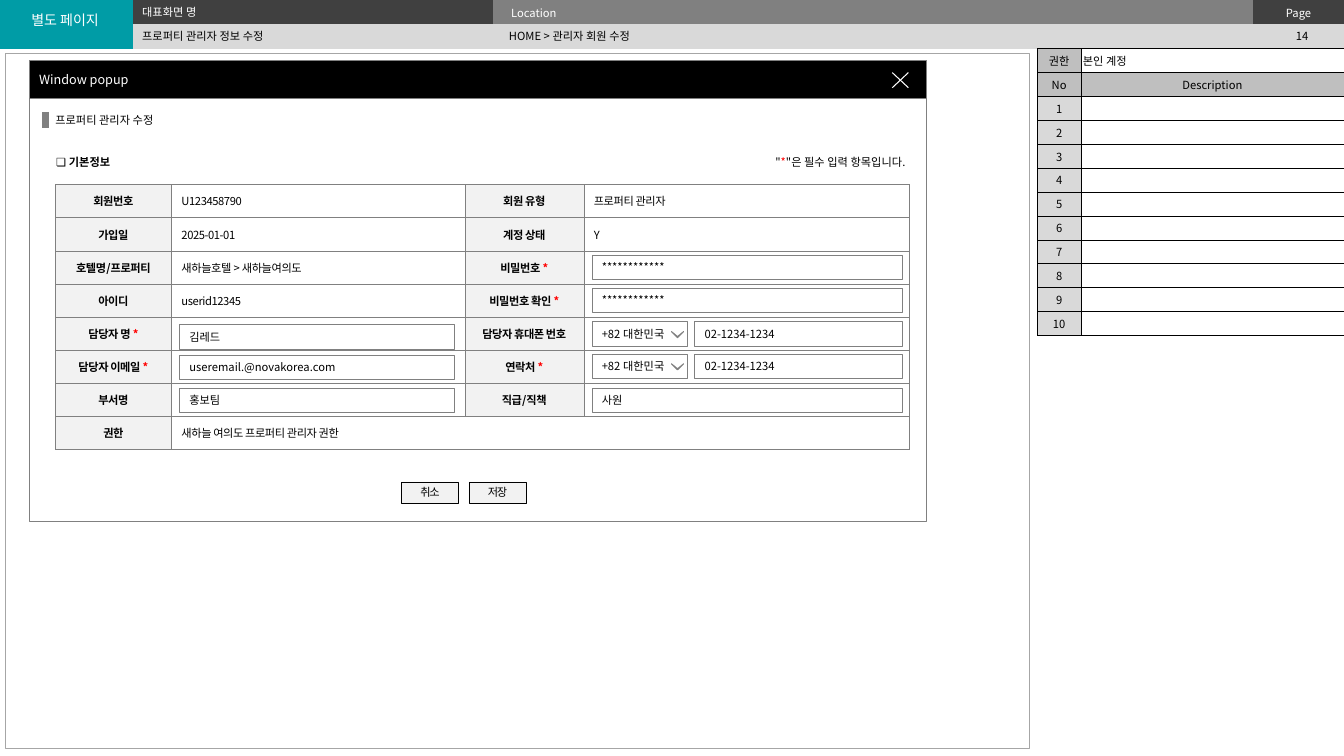
from lxml.etree import SubElement
from pptx import Presentation
from pptx.dml.color import RGBColor
from pptx.enum.shapes import MSO_CONNECTOR, MSO_SHAPE
from pptx.enum.text import MSO_ANCHOR as ANCHOR, PP_ALIGN as ALIGN
from pptx.oxml.ns import qn
from pptx.util import Inches, Pt

FONT = "Noto Sans CJK KR"
NO_STYLE = "{2D5ABB26-0587-4C30-8999-92F81FD0307C}"
BLACK, WHITE, RED, GRAY = "000000", "FFFFFF", "FF0000", "808080"
DARK, SILVER, LIGHT, PALE = "404040", "BFBFBF", "D9D9D9", "F2F2F2"


def write(frame, text, size=8, color=BLACK, bold=False, align=ALIGN.LEFT,
          spacing=0, star=False):
    """Fill the first paragraph; with star, its first asterisk turns red."""
    paragraph = frame.paragraphs[0]
    paragraph.alignment = align
    paragraph.space_before = Pt(0)
    if not text:
        paragraph._p.get_or_add_endParaRPr().set("sz", str(size * 100))
    for part in filter(None, text.partition("*") if star else [text]):
        run = paragraph.add_run()
        run.text = part
        font = run.font
        font.name, font.size, font.bold = FONT, Pt(size), bold
        font.color.rgb = RGBColor.from_string(RED if star and part == "*" else color)
        properties = run._r.get_or_add_rPr()
        SubElement(properties, qn("a:ea")).set("typeface", FONT)
        if spacing:
            properties.set("spc", str(round(spacing * 100)))


def paint(shape, fill, line, width):
    shape.shadow.inherit = False
    if fill:
        shape.fill.solid()
        shape.fill.fore_color.rgb = RGBColor.from_string(fill)
    else:
        shape.fill.background()
    shape.line.color.rgb = RGBColor.from_string(line)
    shape.line.width = Pt(width)


presentation = Presentation()
presentation.slide_width, presentation.slide_height = Inches(13.33), Inches(7.5)
slide = presentation.slides.add_slide(presentation.slide_layouts[1])
shapes = slide.shapes

# Page frame, popup window and its buttons
middle = dict(align=ALIGN.CENTER)
for left, top, width, height, fill, line, weight, text, style in [
    (0.05, 0.53, 10.16, 6.89, None, "A6A6A6", 0.25, "", {}),
    (0.29, 0.98, 8.9, 4.19, WHITE, GRAY, 0.5, "", {}),
    (0.29, 0.6, 8.9, 0.38, BLACK, GRAY, 0.5, "Window popup", dict(size=9, color=WHITE)),
    (3.98, 4.78, 0.57, 0.21, PALE, BLACK, 0.25, "취소", dict(spacing=-0.9, **middle)),
    (4.65, 4.78, 0.57, 0.21, PALE, BLACK, 0.25, "저장", dict(spacing=-0.9, **middle)),
]:
    box = shapes.add_shape(MSO_SHAPE.RECTANGLE, Inches(left), Inches(top),
                           Inches(width), Inches(height))
    paint(box, fill, line, weight)
    if text:
        frame = box.text_frame
        frame.vertical_anchor = ANCHOR.MIDDLE
        if fill == PALE:
            frame.margin_left = frame.margin_right = 0
            frame.margin_top = frame.margin_bottom = 0
        write(frame, text, **style)

close_builder = shapes.build_freeform(Inches(9.01), Inches(0.72))
close_builder.add_line_segments([(Inches(8.85), Inches(0.87))], close=False)
close_builder.move_to(Inches(8.85), Inches(0.72))
close_builder.add_line_segments([(Inches(9.01), Inches(0.87))], close=False)
paint(close_builder.convert_to_shape(), None, WHITE, 0.75)

# Tables: each cell is (text, fill, format)
header_rows = [
    [("", "009CA6", {}), ("", DARK, {}), ("Location", GRAY, dict(color=WHITE)),
     ("Page", DARK, dict(color=WHITE, **middle))],
    [("", "009CA6", {})] + [("", LIGHT, {})] * 3,
]
description_rows = [
    [("권한", SILVER, middle), ("본인 계정", WHITE, {})],
    [("No", SILVER, middle), ("Description", SILVER, middle)],
] + [[(str(number), LIGHT, middle), ("", WHITE, {})] for number in range(1, 11)]
member_rows = []
for fields in [
    ("회원번호", "U123458790", "회원 유형", "프로퍼티 관리자"),
    ("가입일", "2025-01-01", "계정 상태", "Y"),
    ("호텔명/프로퍼티", "새하늘호텔 > 새하늘여의도", "비밀번호 *", ""),
    ("아이디", "userid12345", "비밀번호 확인 *", ""),
    ("담당자 명 *", "", "담당자 휴대폰 번호", ""),
    ("담당자 이메일 *", "", "연락처 *", ""),
    ("부서명", "", "직급/직책", ""),
    ("권한", "새하늘 여의도 프로퍼티 관리자 권한", "", ""),
]:
    label_style = dict(bold=True, spacing=-0.3, star=True, **middle)
    member_rows.append([
        (text, WHITE, dict(spacing=-0.3)) if column % 2 else (text, PALE, label_style)
        for column, text in enumerate(fields)])

for left, top, widths, height, margins, border, weight, merge, rows in [
    (0, 0, (1.32, 3.57, 7.54, 0.9), 0.48, (0.18, 0.04), None, 0, (0, 0, 1, 0), header_rows),
    (10.29, 0.48, (0.43, 2.61), 2.85, (0.02, 0.03), BLACK, 0.5, None, description_rows),
    (0.55, 1.83, (1.15, 2.91, 1.18, 3.23), 2.63, (0.1, 0.05), GRAY, 0.25, (7, 1, 7, 3),
     member_rows),
]:
    table = shapes.add_table(len(rows), len(widths), Inches(left), Inches(top),
                             Inches(sum(widths)), Inches(height)).table
    table._tbl.tblPr.find(qn("a:tableStyleId")).text = NO_STYLE
    for column, width in zip(table.columns, widths):
        column.width = Inches(width)
    for row_index, row in enumerate(rows):
        table.rows[row_index].height = Inches(height / len(rows))
        for column_index, (text, fill, style) in enumerate(row):
            cell = table.cell(row_index, column_index)
            cell.vertical_anchor = ANCHOR.MIDDLE
            cell.margin_left = cell.margin_right = Inches(margins[0])
            cell.margin_top = cell.margin_bottom = Inches(margins[1])
            if border:
                for side in ("lnL", "lnR", "lnT", "lnB"):
                    edge = SubElement(cell._tc.get_or_add_tcPr(), qn(f"a:{side}"),
                                      w=str(Pt(weight)))
                    edge_fill = SubElement(edge, qn("a:solidFill"))
                    SubElement(edge_fill, qn("a:srgbClr"), val=border)
            cell.fill.solid()
            cell.fill.fore_color.rgb = RGBColor.from_string(fill)
            write(cell.text_frame, text, **style)
    if merge:
        table.cell(*merge[:2]).merge(table.cell(*merge[2:]))

# Input fields of the member form
phone_tops = (3.19, 3.51)
fields = [
    (1.78, 3.22, 2.73, "김레드"),
    (1.78, 3.52, 2.73, "useremail.@novakorea.com"),
    (1.78, 3.85, 2.73, "홍보팀"),
    (5.87, 2.53, 3.08, "************"),
    (5.87, 2.86, 3.08, "************"),
    (5.87, 3.85, 3.08, "사원"),
]
for top in phone_tops:
    fields += [(5.87, top, 0.95, "+82 대한민국"), (6.89, top, 2.06, "02-1234-1234")]
for left, top, width, text in fields:
    field = shapes.add_shape(MSO_SHAPE.RECTANGLE, Inches(left), Inches(top),
                             Inches(width), Inches(0.24))
    paint(field, WHITE, GRAY, 0.25)
    field.text_frame.vertical_anchor = ANCHOR.MIDDLE
    field.text_frame.word_wrap = False
    write(field.text_frame, text)

for top in phone_tops:
    arrow_builder = shapes.build_freeform(Inches(6.78), Inches(top + 0.1))
    arrow_builder.add_line_segments([
        (Inches(x), Inches(top + y)) for x, y in [(6.72, 0.15), (6.66, 0.1), (6.72, 0.16)]])
    paint(arrow_builder.convert_to_shape(), "5F5F5F", GRAY, 0.75)

# Section marker and free labels
marker = shapes.add_connector(MSO_CONNECTOR.STRAIGHT, Inches(0.45), Inches(1.11),
                              Inches(0.45), Inches(1.27))
marker.line.color.rgb = RGBColor.from_string(GRAY)
marker.line.width = Pt(4.5)
SubElement(marker._element.spPr, qn("a:effectLst"))

for left, top, width, height, wrap, text, style in [
    (12.48, 0.24, 0.87, 0.24, True, "14", middle),
    (0.08, 0.07, 1.13, 0.27, True, "별도 페이지", dict(size=10, color=WHITE, **middle)),
    (4.95, 0.24, 3.63, 0.24, True, "HOME > 관리자 회원 수정", {}),
    (0.45, 1.08, 2.41, 0.24, True, "프로퍼티 관리자 수정", {}),
    (0.46, 1.49, 0.76, 0.24, False, "❏ 기본정보", dict(bold=True)),
    (7.4, 1.49, 1.68, 0.24, False, '"*"은 필수 입력 항목입니다.',
     dict(align=ALIGN.RIGHT, star=True)),
]:
    label = shapes.add_textbox(Inches(left), Inches(top), Inches(width), Inches(height))
    label.text_frame.word_wrap = wrap
    write(label.text_frame, text, **style)

# Screen names in the header, brought in front of the header table
for placeholder, top, text, color in [
    (shapes.title, 0.24, "프로퍼티 관리자 정보 수정", BLACK),
    (slide.placeholders[1], 0, "대표화면 명", WHITE),
]:
    placeholder.left, placeholder.top = Inches(1.31), Inches(top)
    placeholder.width, placeholder.height = Inches(3.63), Inches(0.24)
    placeholder.text_frame.vertical_anchor = ANCHOR.MIDDLE
    paragraph_properties = placeholder.text_frame.paragraphs[0]._p.get_or_add_pPr()
    paragraph_properties.set("marL", "0")
    paragraph_properties.set("indent", "0")
    SubElement(paragraph_properties, qn("a:buNone"))
    write(placeholder.text_frame, text, color=color)
    shapes._spTree.append(placeholder._element)

presentation.save("out.pptx")
